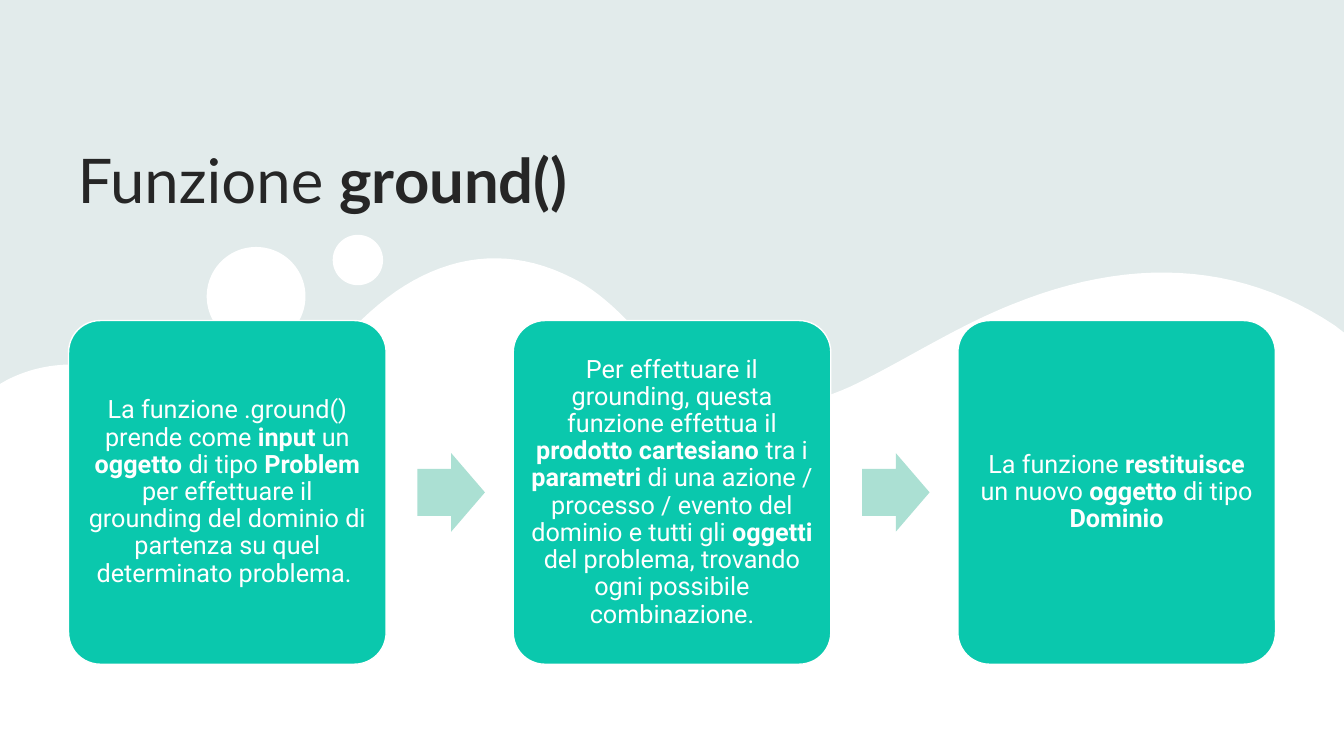
from pptx import Presentation
from pptx import util as u
from pptx.dml.color import RGBColor
from pptx.enum import shapes, text

hues = {"sky": "E2EBEB", "hill": "FFFFFF", "card": "0AC8AD", "arrow": "ABE0D3", "ink": "262626"}
kinds = shapes.MSO_SHAPE

deck = Presentation()
deck.slide_width, deck.slide_height = u.Inches(13.33), u.Inches(7.5)
slide = deck.slides.add_slide(deck.slide_layouts[5])
slide.background.fill.solid()
slide.background.fill.fore_color.rgb = RGBColor.from_string(hues["sky"])


def paint(shape, hue):
    shape.shadow.inherit = False
    shape.fill.solid()
    shape.fill.fore_color.rgb = RGBColor.from_string(hues[hue])
    shape.line.fill.background()
    return shape


def write(para, parts, size, face, hue):
    para.font.size, para.font.name = u.Pt(size), face
    para.font.color.rgb = RGBColor.from_string(hues[hue])
    for i, part in enumerate(parts.split("*")):
        if part:
            run = para.add_run()
            run.text = part
            run.font.bold = i % 2 == 1


for x, y, r in [(2.54, 2.94, 0.49), (3.55, 2.58, 0.25)]:
    box = [u.Inches(n) for n in (x - r, y - r, 2 * r, 2 * r)]
    paint(slide.shapes.add_shape(kinds.OVAL, *box), "hill")

curves = [
    (0.07, 3.77, 0.44, 3.58, 0.82, 3.59, 1.22, 3.67),
    (1.22, 3.67, 1.65, 3.76, 2.1, 3.83, 2.54, 3.83),
    (2.54, 3.83, 2.95, 3.84, 3.23, 3.53, 3.5, 3.26),
    (3.5, 3.26, 4.16, 2.57, 4.92, 2.37, 5.68, 2.76),
    (5.68, 2.76, 5.98, 2.91, 6.23, 3.18, 6.46, 3.44),
    (6.46, 3.44, 7.07, 4.13, 7.82, 4.15, 8.53, 3.79),
    (8.53, 3.79, 9.03, 3.54, 9.51, 3.23, 10.04, 3.02),
    (10.04, 3.02, 11.17, 2.56, 12.27, 2.58, 13.24, 3.23),
]
steps = 24
points = [(0, 3.81)]
for curve in curves:
    for i in range(steps + 1):
        t = i / steps
        mix = ((1 - t) ** 3, 3 * t * (1 - t) ** 2, 3 * t * t * (1 - t), t ** 3)
        points.append(tuple(sum(m * c for m, c in zip(mix, curve[k::2])) for k in (0, 1)))
points += [(13.33, 3.3), (13.33, 7.5)]
hill = slide.shapes.build_freeform(0, u.Inches(7.5), scale=1.0)
hill.add_line_segments([(u.Inches(x), u.Inches(y)) for x, y in points])
paint(hill.convert_to_shape(), "hill")

title = slide.shapes.title
title.left, title.top, title.width, title.height = [u.Inches(n) for n in (0.67, 0.61, 12, 1.58)]
title.text_frame.vertical_anchor = text.MSO_ANCHOR.BOTTOM
head = title.text_frame.paragraphs[0]
head.alignment = text.PP_ALIGN.LEFT
write(head, "Funzione *ground()*", 44, "Lato", "ink")

cards = [
    "La funzione .ground() prende come *input* un *oggetto* di tipo *Problem* per effettuare il "
    "grounding del dominio di partenza su quel determinato problema. ",
    "Per effettuare il grounding, questa funzione effettua il *prodotto cartesiano *tra i "
    "*parametri* di una azione / processo / evento del dominio e tutti gli *oggetti* del "
    "problema, trovando ogni possibile combinazione.",
    "La funzione *restituisce* un nuovo *oggetto* di tipo *Dominio*",
]
left, pitch, top, wide, high = 0.68, 4.41, 3.18, 3.15, 3.41
for i, words in enumerate(cards):
    x = left + i * pitch
    box = [u.Inches(n) for n in (x, top, wide, high)]
    card = paint(slide.shapes.add_shape(kinds.ROUNDED_RECTANGLE, *box), "card")
    card.adjustments[0] = 0.1
    card.line.color.rgb = RGBColor.from_string(hues["hill"])
    card.line.width = u.Pt(1)
    frame = card.text_frame
    frame.word_wrap = True
    frame.vertical_anchor = text.MSO_ANCHOR.MIDDLE
    frame.margin_left = frame.margin_right = frame.margin_top = frame.margin_bottom = u.Inches(0.07)
    para = frame.paragraphs[0]
    para.alignment = text.PP_ALIGN.CENTER
    para.line_spacing = 0.9
    write(para, words, 18, "Roboto", "hill")
    if i < len(cards) - 1:
        box = [u.Inches(n) for n in (x + 3.46, top + high / 2 - 0.39, 0.67, 0.78)]
        arrow = paint(slide.shapes.add_shape(kinds.RIGHT_ARROW, *box), "arrow")
        arrow.adjustments[0] = 0.6
        arrow.adjustments[1] = 0.5

deck.save("out.pptx")
